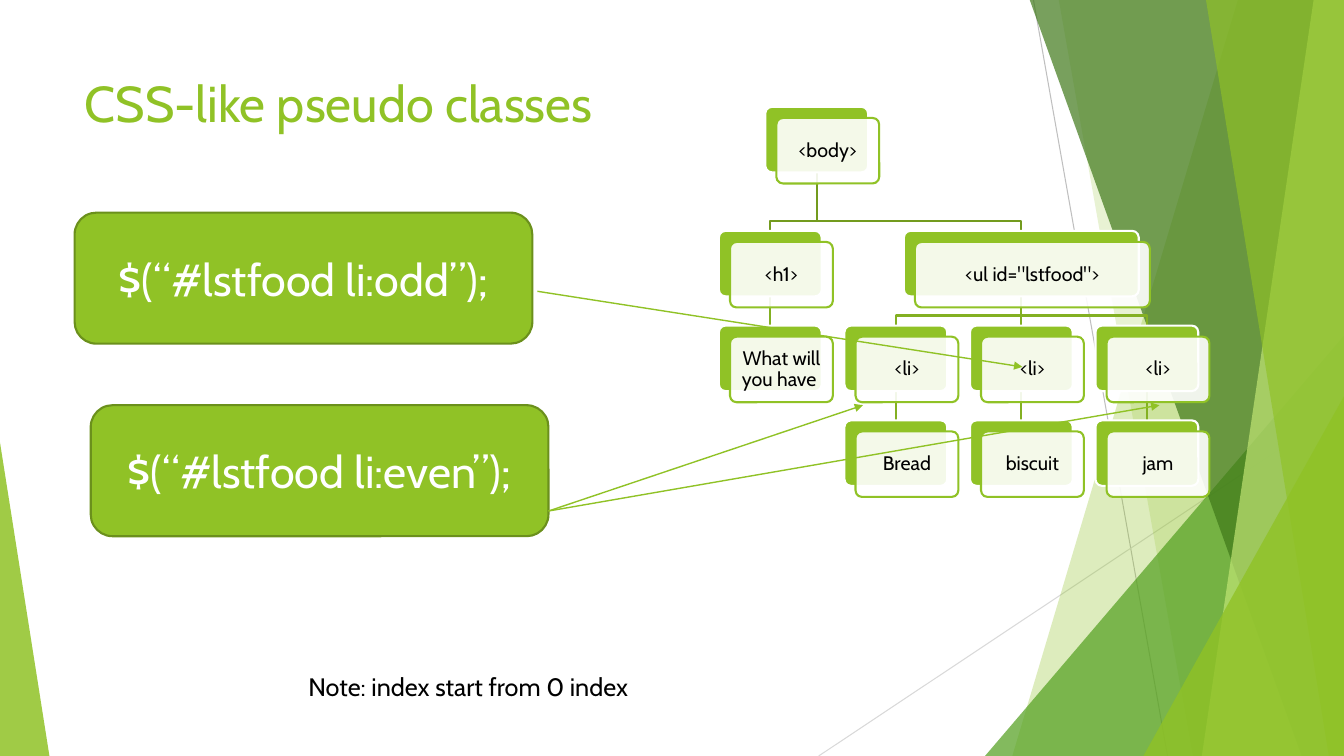
from lxml import etree
from pptx import Presentation
from pptx.dml.color import RGBColor
from pptx.enum.shapes import MSO_CONNECTOR, MSO_SHAPE
from pptx.enum.text import MSO_ANCHOR, MSO_AUTO_SIZE, PP_ALIGN
from pptx.oxml.ns import qn
from pptx.util import Inches, Pt

ROUNDED, TRIANGLE = MSO_SHAPE.ROUNDED_RECTANGLE, MSO_SHAPE.ISOSCELES_TRIANGLE
STRAIGHT = MSO_CONNECTOR.STRAIGHT
TOP, MIDDLE = MSO_ANCHOR.TOP, MSO_ANCHOR.MIDDLE
LEFT, CENTER = PP_ALIGN.LEFT, PP_ALIGN.CENTER

FONT = "Cabin"
GREEN, WHITE, BLACK = "90C226", "FFFFFF", "000000"
PAGE_W, PAGE_H = 13.33, 7.5

# Content
TITLE = "CSS-like pseudo classes"
NOTE = "Note: index start from 0 index"
SELECTORS = [  # text, left, top
    ("$(“#lstfood li:odd”);", 0.74, 2.11),
    ("$(“#lstfood li:even”);", 0.9, 4.02),
]
ARROWS = [  # from, to
    ((5.33, 2.89), (10.14, 3.64)),
    ((5.44, 5.07), (8.56, 4.02)),
    ((5.44, 5.07), (11.5, 4.02)),
]

# Document tree: text, centre x, row, width, index of parent
NODE_W, NODE_H, NODE_OFFSET = 1.02, 0.65, 0.11
ROW_TOPS = [1.06, 2.29, 3.23, 4.17]
COLUMNS = [7.64 + 1.245 * column for column in range(4)]
NODES = [
    ("<body>", 8.1, 0, NODE_W, None),
    ("<h1>", COLUMNS[0], 1, NODE_W, 0),
    ("What will you have ", COLUMNS[0], 2, NODE_W, 1),
    ('<ul id="lstfood">', COLUMNS[2], 1, 2.33, 0),
    ("<li>", COLUMNS[1], 2, NODE_W, 3),
    ("Bread", COLUMNS[1], 3, NODE_W, 4),
    ("<li>", COLUMNS[2], 2, NODE_W, 3),
    ("biscuit", COLUMNS[2], 3, NODE_W, 6),
    ("<li>", COLUMNS[3], 2, NODE_W, 3),
    ("jam", COLUMNS[3], 3, NODE_W, 8),
]

# Backdrop: bands are (top x, bottom x), triangles are (left, top, width, apex)
THIN_LINES = [
    ((10.25, 0), (11.58, PAGE_H), "BFBFBF"),
    ((PAGE_W, 4.03), (8.12, PAGE_H), "D9D9D9"),
]
FACETS = [  # geometry, colour, opacity in percent
    ((12.28, 10.04), GREEN, 30),
    ((10.5, 11.83), GREEN, 20),
    ((9.77, 3.33, 3.56, 1), "54A021", 72),
    ((10.21, 12.91), "3F7819", 70),
    ((13.03, 11.92), "C0E474", 70),
    ((11.96, 13.18), GREEN, 65),
    ((11.34, 3.93, 1.99, 1), GREEN, 80),
    ((0, 4.39, 0.49, 0), GREEN, 85),
]

deck = Presentation()
deck.slide_width, deck.slide_height = Inches(PAGE_W), Inches(PAGE_H)
page = deck.slides.add_slide(deck.slide_layouts[6])
shapes = page.shapes


def rgb(value):
    return RGBColor.from_string(value)


def paint(shape, fill=None, opacity=100, line=None, weight=1.5):
    shape.shadow.inherit = False
    if fill:
        shape.fill.solid()
        shape.fill.fore_color.rgb = rgb(fill)
        if opacity < 100:
            colour = shape.fill._xPr.find(".//" + qn("a:srgbClr"))
            etree.SubElement(colour, qn("a:alpha"), val=str(opacity * 1000))
    else:
        shape.fill.background()
    if line:
        shape.line.color.rgb = rgb(line)
        shape.line.width = Pt(weight)
    else:
        shape.line.fill.background()


def add_preset(kind, left, top, width, height, adjust=None):
    shape = shapes.add_shape(kind, Inches(left), Inches(top), Inches(width), Inches(height))
    if adjust is not None:
        shape.adjustments[0] = adjust
    return shape


def add_path(points, close):
    corners = [(Inches(x), Inches(y)) for x, y in points]
    builder = shapes.build_freeform(*corners[0])
    builder.add_line_segments(corners[1:], close=close)
    return builder.convert_to_shape()


def add_line(start, end, colour, weight, arrow=False):
    line = shapes.add_connector(STRAIGHT, *(Inches(value) for value in start + end))
    line.line.color.rgb = rgb(colour)
    line.line.width = Pt(weight)
    properties = line._element.spPr
    if arrow:
        etree.SubElement(properties.find(qn("a:ln")), qn("a:tailEnd"), type="triangle")
    etree.SubElement(properties, qn("a:effectLst"))


def write(shape, text, size, colour, align=LEFT, anchor=TOP, wrap=True):
    frame = shape.text_frame
    frame.text = text
    frame.word_wrap = wrap
    frame.vertical_anchor = anchor
    para = frame.paragraphs[0]
    para.alignment = align
    span = para.runs[0]
    span.font.name, span.font.size = FONT, Pt(size)
    span.font.color.rgb = rgb(colour)
    return frame


def add_text(left, top, width, height, *args, **options):
    box = shapes.add_textbox(Inches(left), Inches(top), Inches(width), Inches(height))
    return write(box, *args, **options)


# Backdrop
for start, end, colour in THIN_LINES:
    add_line(start, end, colour, 0.75)
for geometry, colour, opacity in FACETS:
    if len(geometry) == 2:
        top_x, bottom_x = geometry
        facet = add_path([(top_x, -0.01), (PAGE_W, -0.01), (PAGE_W, PAGE_H),
                          (bottom_x, PAGE_H)], close=True)
    else:
        left, top, width, apex = geometry
        facet = add_preset(TRIANGLE, left, top, width, PAGE_H - top, apex)
    paint(facet, colour, opacity)

# Title
add_text(0.74, 0.67, 9.4, 1.44, TITLE, 36, GREEN)

# Tree links, lowest rows first
for text, center, row, width, parent in reversed(NODES):
    if parent is None:
        continue
    parent_center, parent_row = NODES[parent][1:3]
    start = (parent_center, ROW_TOPS[parent_row] + NODE_H)
    end = (center, ROW_TOPS[row])
    colour = "739B1E" if parent_row == 0 else "83B022"
    if center == parent_center:
        add_line(start, end, colour, 1.5)
    else:
        bend = ROW_TOPS[row] - 0.1
        link = add_path([start, (parent_center, bend), (center, bend), end], close=False)
        paint(link, line=colour)

# Tree nodes: a green card behind a white one
for text, center, row, width, parent in NODES:
    left, top = center - width / 2, ROW_TOPS[row]
    paint(add_preset(ROUNDED, left, top, width, NODE_H, 0.1), GREEN, line=WHITE)
    card = add_preset(ROUNDED, left + NODE_OFFSET, top + NODE_OFFSET, width, NODE_H, 0.1)
    paint(card, WHITE, 90, line=GREEN)
    frame = write(card, text, 14, BLACK, CENTER, MIDDLE)
    frame.margin_left = frame.margin_right = Inches(0.06)
    frame.margin_top = frame.margin_bottom = Inches(0.06)
    frame.paragraphs[0].line_spacing = 0.9

# Selectors, note and arrows
for text, left, top in SELECTORS:
    button = add_preset(ROUNDED, left, top, 4.54, 1.3)
    paint(button, GREEN, line="6B901C")
    write(button, text, 32, WHITE, CENTER, MIDDLE)
note = add_text(2.96, 6.61, 3.64, 0.4, NOTE, 18, BLACK, wrap=False)
note.auto_size = MSO_AUTO_SIZE.SHAPE_TO_FIT_TEXT
for start, end in ARROWS:
    add_line(start, end, GREEN, 1, arrow=True)

deck.save("out.pptx")
